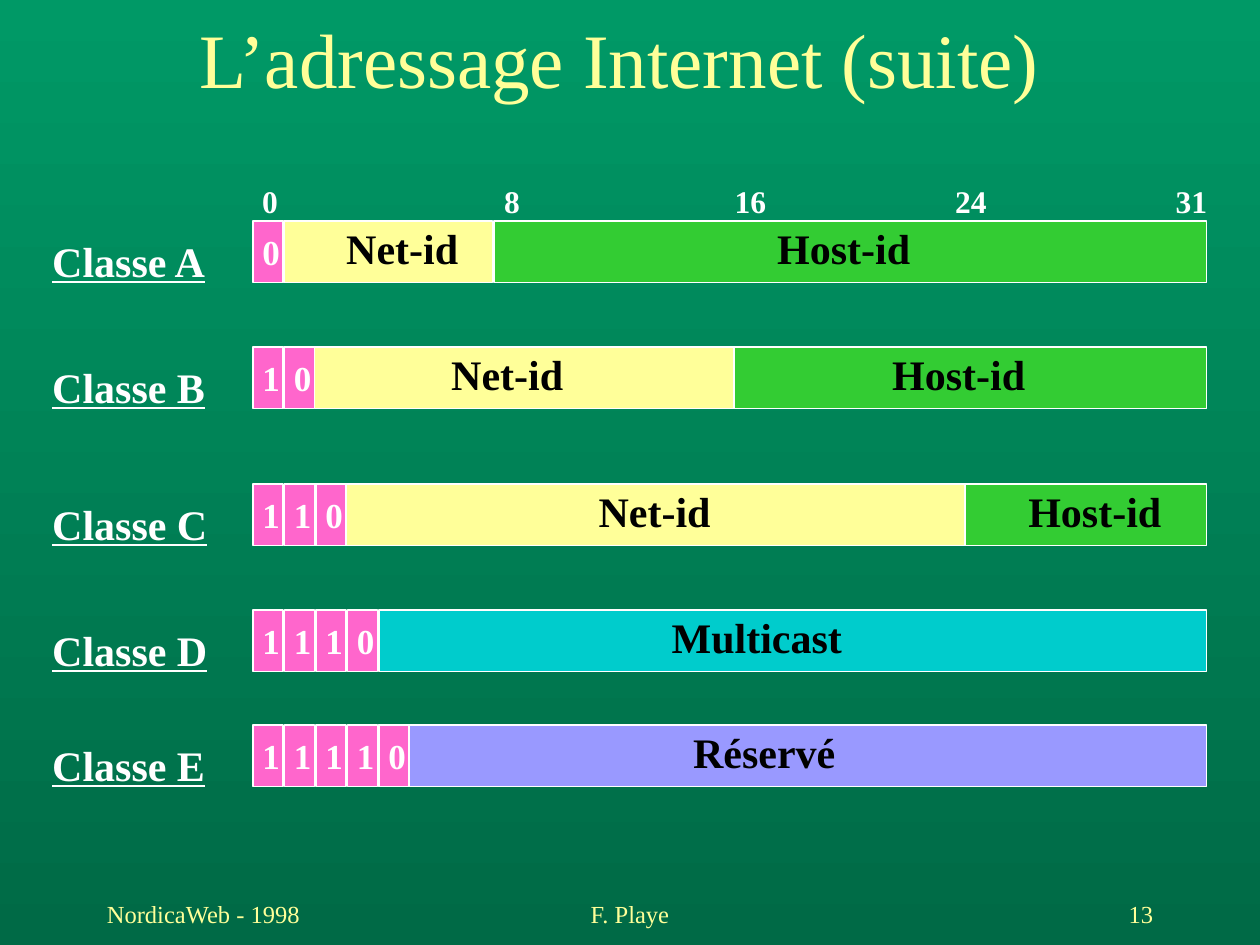
import pptx
import pptx.util
import pptx.dml.color
import pptx.enum.shapes
import pptx.enum.text

Pt = pptx.util.Pt
Align = pptx.enum.text.PP_ALIGN
Anchor = pptx.enum.text.MSO_ANCHOR


def paint(color, code):
    color.rgb = pptx.dml.color.RGBColor.from_string(code)


def write(text, box, size, code, bold=True, line=False, wrap=False,
          align=Align.LEFT, anchor=Anchor.TOP):
    frame = slide.shapes.add_textbox(*map(Pt, box)).text_frame
    frame.word_wrap = wrap
    frame.vertical_anchor = anchor
    par = frame.paragraphs[0]
    par.alignment = align
    run = par.add_run()
    run.text = text
    run.font.name = "Times New Roman"
    run.font.size = Pt(size)
    run.font.bold = bold
    run.font.underline = line
    paint(run.font.color, code)


deck = pptx.Presentation()
deck.slide_width = Pt(720)
deck.slide_height = Pt(540)
slide = deck.slides.add_slide(deck.slide_layouts[6])

back = slide.background.fill
back.gradient()
back.gradient_angle = 270
for stop, code in zip(back.gradient_stops, ["009966", "006A46"]):
    paint(stop.color, code)

white, black, cream = "FFFFFF", "000000", "FFFF99"
pink, green, cyan, mauve = "FF66CC", "33CC33", "00CCCC", "9999FF"
left, step, right, high = 144.5, 18, 689.5, 35.25

write("L’adressage Internet (suite)", (48, 0, 612, 66), 44, cream, bold=False,
      wrap=True, align=Align.CENTER, anchor=Anchor.MIDDLE)

for mark, x in [("0", 142.75), ("8", 281), ("16", 412.75), ("24", 538.75), ("31", 664.75)]:
    write(mark, (x, 100.4, 15 + 9 * len(mark), 29), 18, white)

rows = [
    ("A", 126.25, "0", [("Host-id", 282.25, right, green, 437, 181.5),
                        ("Net-id", 162.5, 281.5, cream, 190.75, 181.5)]),
    ("B", 198.25, "10", [("Host-id", 282.25, right, green, 502.75, 181.5),
                         ("Net-id", 162.5, 419.5, cream, 250.75, 181.5)]),
    ("C", 276.5, "110", [("Host-id", 282.25, right, green, 580.5, 104),
                         ("Net-id", 162.5, 551.5, cream, 335, 181.5)]),
    ("D", 348.5, "1110", [("Multicast", 216.5, right, cyan, 376.75, 181.5)]),
    ("E", 414.25, "11110", [("Réservé", 216.5, right, mauve, 389, 181.5)]),
]
for name, top, bits, parts in rows:
    write("Classe " + name, (22.75, top + 4.6, 103, 36), 24, white, line=True)
    bars = [(start, end, code, text, (x, top - 2.6, wide, 36), 24, black, True)
            for text, start, end, code, x, wide in parts]
    for i, bit in reversed(list(enumerate(bits))):
        x = left + i * step
        bars.append((x, x + 17.25, pink, bit, (x - 1.7, top + 2, 24.5, 31), 20, white, False))
    for start, end, code, text, box, size, ink, wrap in bars:
        bar = slide.shapes.add_shape(pptx.enum.shapes.MSO_SHAPE.RECTANGLE,
                                     Pt(start), Pt(top), Pt(end - start), Pt(high))
        bar.shadow.inherit = False
        bar.fill.solid()
        paint(bar.fill.fore_color, code)
        paint(bar.line.color, white)
        bar.line.width = Pt(1)
        write(text, box, size, ink, wrap=wrap)

for text, x, wide, align in [("NordicaWeb - 1998", 54, 150, Align.LEFT),
                             ("F. Playe", 246, 228, Align.CENTER),
                             ("13", 516, 150, Align.RIGHT)]:
    write(text, (x, 504, wide, 36), 14, cream, bold=False, wrap=True,
          align=align, anchor=Anchor.MIDDLE)

deck.save("out.pptx")
